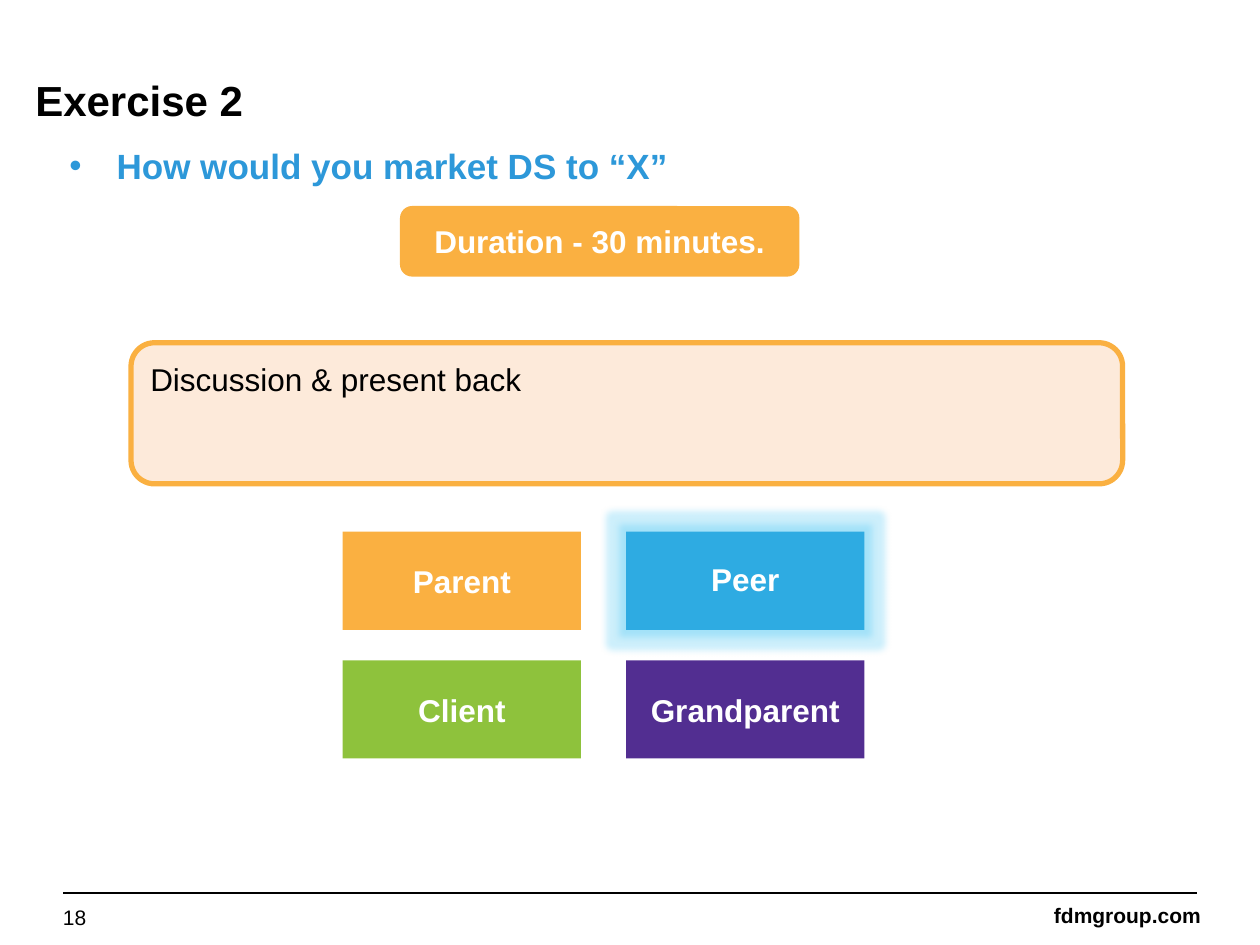
from dataclasses import dataclass, field
from typing import Any

from lxml.etree import SubElement
from pptx import Presentation
from pptx.dml.color import RGBColor
from pptx.enum.shapes import MSO_CONNECTOR as Connector, MSO_SHAPE as Shape
from pptx.enum.text import MSO_ANCHOR as Anchor, MSO_AUTO_SIZE as AutoSize, PP_ALIGN as Align
from pptx.oxml.ns import qn
from pptx.util import Inches, Pt

BLACK = RGBColor(0x00, 0x00, 0x00)
WHITE = RGBColor(0xFF, 0xFF, 0xFF)
HEADING_BLUE = RGBColor(0x2D, 0x98, 0xD9)
ORANGE = RGBColor(0xFA, 0xB0, 0x41)
PEACH = RGBColor(0xFD, 0xEA, 0xDA)
GREEN = RGBColor(0x8E, 0xC2, 0x3C)
SKY = RGBColor(0x2E, 0xAB, 0xE2)
GLOW_BLUE = RGBColor(0x00, 0xB0, 0xF0)
PURPLE = RGBColor(0x52, 0x2E, 0x91)

GRID_LEFT, GRID_TOP = 2.72, 4.22
COLUMN_STEP, ROW_STEP = 2.25, 1.02
CARD_WIDTH, CARD_HEIGHT = 1.89, 0.78


@dataclass
class TextStyle:
    size: int
    color: RGBColor
    bold: bool = False
    align: Align = Align.LEFT
    anchor: Anchor = Anchor.TOP
    insets: tuple[float, float, float, float] = (0.08, 0.08, 0.08, 0.08)
    wrap: bool = True
    paragraph: dict[str, Any] = field(default_factory=dict)


@dataclass
class Audience:
    name: str
    column: int
    row: int
    color: RGBColor
    glowing: bool = False


SIDE_INSETS = (0.1, 0.05, 0.1, 0.05)
LABEL = TextStyle(18, WHITE, True, Align.CENTER, Anchor.MIDDLE, SIDE_INSETS)
GLOWING_LABEL = TextStyle(18, WHITE, True, Align.CENTER, Anchor.MIDDLE, (0.09,) * 4,
                          paragraph={"line_spacing": 0.9, "space_after": Pt(6)})
AUDIENCES = [
    Audience("Client", 0, 1, GREEN),
    Audience("Parent", 0, 0, ORANGE),
    Audience("Peer", 1, 0, SKY, glowing=True),
    Audience("Grandparent", 1, 1, PURPLE),
]


def apply(target: Any, values: dict[str, Any]) -> None:
    for attribute, value in values.items():
        setattr(target, attribute, value)


def place(shape: Any, left: float, top: float, width: float, height: float) -> None:
    apply(shape, {"left": Inches(left), "top": Inches(top),
                  "width": Inches(width), "height": Inches(height)})


def write(shape: Any, wording: str, style: TextStyle) -> None:
    frame = shape.text_frame
    frame.text = wording
    left, top, right, bottom = (Inches(inset) for inset in style.insets)
    apply(frame, {"auto_size": AutoSize.NONE, "word_wrap": style.wrap,
                  "vertical_anchor": style.anchor, "margin_left": left,
                  "margin_top": top, "margin_right": right, "margin_bottom": bottom})
    paragraph = frame.paragraphs[0]
    apply(paragraph, {"alignment": style.align, "space_before": Pt(0), **style.paragraph})
    apply(paragraph.runs[0].font, {"name": "Arial", "size": Pt(style.size), "bold": style.bold})
    paragraph.runs[0].font.color.rgb = style.color


def add_label(slide: Any, wording: str, box: tuple[float, float, float, float],
              style: TextStyle) -> None:
    write(slide.shapes.add_textbox(*map(Inches, box)), wording, style)


def add_panel(slide: Any, kind: Shape, box: tuple[float, float, float, float],
              fill: RGBColor, line: RGBColor | None = None, weight: float = 0) -> Any:
    panel = slide.shapes.add_shape(kind, *map(Inches, box))
    panel.shadow.inherit = False
    panel.fill.solid()
    panel.fill.fore_color.rgb = fill
    if line is None:
        panel.line.fill.background()
    else:
        panel.line.color.rgb = line
        panel.line.width = Pt(weight)
    return panel


def add_glow(panel: Any) -> None:
    effects = panel.element.spPr.find(qn("a:effectLst"))
    glow = SubElement(effects, qn("a:glow"), rad=str(Pt(8)))
    tint = SubElement(glow, qn("a:srgbClr"), val=str(GLOW_BLUE))
    SubElement(tint, qn("a:alpha"), val="20000")


def add_audience(slide: Any, audience: Audience) -> None:
    box = (GRID_LEFT + audience.column * COLUMN_STEP, GRID_TOP + audience.row * ROW_STEP,
           CARD_WIDTH, CARD_HEIGHT)
    card = add_panel(slide, Shape.RECTANGLE, box, audience.color)
    if audience.glowing:
        add_glow(card)
    write(card, audience.name, GLOWING_LABEL if audience.glowing else LABEL)


def add_footer(slide: Any) -> None:
    add_label(slide, "fdmgroup.com", (8.25, 7.11, 1.38, 0.3),
              TextStyle(12, BLACK, True, Align.RIGHT, Anchor.MIDDLE, SIDE_INSETS, wrap=False))
    rule = slide.shapes.add_connector(Connector.STRAIGHT, Inches(0.5), Inches(7.09),
                                      Inches(9.5), Inches(7.09))
    rule.line.color.rgb = BLACK
    rule.line.width = Pt(1)
    SubElement(rule.element.spPr, qn("a:effectLst"))
    add_label(slide, "18", (0.5, 7.18, 2.33, 0.2),
              TextStyle(12, BLACK, anchor=Anchor.MIDDLE, insets=(0, 0, 0, 0)))


def add_headings(slide: Any) -> None:
    title, question = slide.placeholders
    place(title, 0.2, 0.51, 9.2, 0.55)
    write(title, "Exercise 2", TextStyle(24, BLACK, True))
    place(question, 0.47, 1.07, 5.65, 0.5)
    question.text_frame.text = ""
    properties = question.text_frame.paragraphs[0]._p.get_or_add_pPr()
    apply_indent = {"marL": "0", "indent": "0"}
    for attribute, value in apply_indent.items():
        properties.set(attribute, value)
    SubElement(properties, qn("a:buNone"))
    write(question, "How would you market DS to “X”", TextStyle(20, HEADING_BLUE, True))


def main() -> None:
    deck = Presentation()
    apply(deck, {"slide_width": Inches(10), "slide_height": Inches(7.5)})
    slide = deck.slides.add_slide(deck.slide_layouts[1])
    add_footer(slide)
    add_headings(slide)

    task = add_panel(slide, Shape.ROUNDED_RECTANGLE, (1.04, 2.72, 7.87, 1.12), PEACH, ORANGE, 3)
    write(task, "Discussion & present back", TextStyle(18, BLACK, insets=(0.1, 0.08, 0.1, 0.05)))
    duration = add_panel(slide, Shape.ROUNDED_RECTANGLE, (3.18, 1.64, 3.16, 0.55),
                         ORANGE, ORANGE, 0.75)
    write(duration, "Duration - 30 minutes.", LABEL)

    for audience in AUDIENCES:
        add_audience(slide, audience)
    deck.save("out.pptx")


if __name__ == "__main__":
    main()
